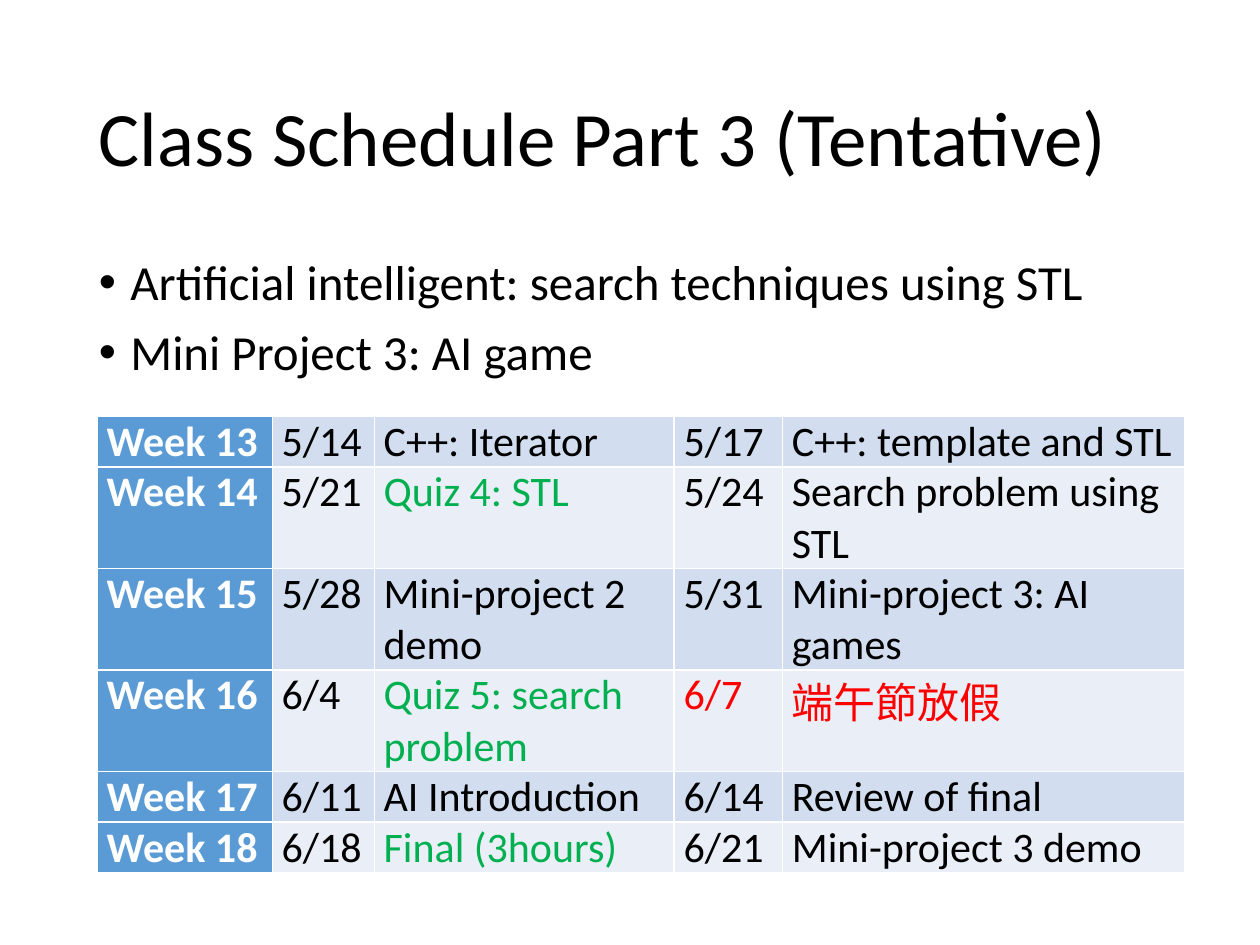
from dataclasses import dataclass

import pptx
import pptx.dml.color
import pptx.enum.text
import pptx.oxml
import pptx.oxml.ns
import pptx.util
from pptx.util import Pt


def rgb(code):
    return pptx.dml.color.RGBColor.from_string(code)


@dataclass(frozen=True)
class Theme:
    font: str = "Calibri"
    title_size: float = 44
    body_size: float = 28
    table_size: float = 24
    text: str = "000000"
    white: str = "FFFFFF"
    week_fill: str = "5B9BD5"
    band_fills: tuple = ("D2DEEF", "EAEFF7")
    exam: str = "00B050"
    holiday: str = "FF0000"


THEME = Theme()

TITLE = "Class Schedule Part 3 (Tentative)"
TOPICS = [
    "Artificial intelligent: search techniques using STL",
    "Mini Project 3: AI game",
]
SCHEDULE = [
    ("Week 13", "5/14", "C++: Iterator", "5/17", "C++: template and STL"),
    ("Week 14", "5/21", "Quiz 4: STL", "5/24", "Search problem using STL"),
    ("Week 15", "5/28", "Mini-project 2 demo", "5/31", "Mini-project 3: AI games"),
    ("Week 16", "6/4", "Quiz 5: search problem", "6/7", "端午節放假"),
    ("Week 17", "6/11", "AI Introduction", "6/14", "Review of final"),
    ("Week 18", "6/18", "Final (3hours)", "6/21", "Mini-project 3 demo"),
]
EXAMS = {"Quiz 4: STL", "Quiz 5: search problem", "Final (3hours)"}
HOLIDAYS = {"6/7", "端午節放假"}
COLUMN_WIDTHS = (100.1, 58.3, 171.4, 61.9, 229.7)
LINE_HEIGHT = 29
ROW_LINES = (1, 2, 2, 2, 1, 1)


def style_text(para, size, color, bold=False):
    for span in para.runs:
        span.font.name = THEME.font
        span.font.size = Pt(size)
        span.font.bold = bold
        span.font.color.rgb = rgb(color)


def add_text_frame(slide, box):
    frame = slide.shapes.add_textbox(*(Pt(length) for length in box)).text_frame
    frame.word_wrap = True
    return frame


def add_title(slide, box):
    frame = add_text_frame(slide, box)
    frame.vertical_anchor = pptx.enum.text.MSO_ANCHOR.MIDDLE
    frame.text = TITLE
    para = frame.paragraphs[0]
    para.line_spacing = 0.9
    style_text(para, THEME.title_size, THEME.text)


def add_bullet(para, indent):
    """Give a paragraph a round bullet with a hanging indent in points."""
    properties = para._p.get_or_add_pPr()
    properties.set("marL", str(Pt(indent)))
    properties.set("indent", str(-Pt(indent)))
    namespace = pptx.oxml.ns.nsdecls("a")
    for tag in ('buFont typeface="Arial"', 'buChar char="•"'):
        properties.append(pptx.oxml.parse_xml(f"<a:{tag.replace(' ', f' {namespace} ', 1)}/>"))


def add_topics(slide, box):
    frame = add_text_frame(slide, box)
    frame.text = "\n".join(TOPICS)
    for para in frame.paragraphs:
        para.line_spacing = 0.9
        para.space_before = Pt(10)
        add_bullet(para, 18)
        style_text(para, THEME.body_size, THEME.text)


def add_cell_borders(cell, color, width):
    properties = cell._tc.get_or_add_tcPr()
    for side in "LRTB":
        properties.append(pptx.oxml.parse_xml(
            f'<a:ln{side} {pptx.oxml.ns.nsdecls("a")} w="{Pt(width)}"><a:solidFill>'
            f'<a:srgbClr val="{color}"/></a:solidFill></a:ln{side}>'))


def entry_color(entry):
    if entry in EXAMS:
        return THEME.exam
    return THEME.holiday if entry in HOLIDAYS else THEME.text


def fill_cell(cell, entry, fill, color, bold):
    cell.margin_left = cell.margin_right = Pt(5.4)
    cell.margin_top = cell.margin_bottom = 0
    add_cell_borders(cell, THEME.white, 1)
    cell.fill.solid()
    cell.fill.fore_color.rgb = rgb(fill)
    cell.text = entry
    style_text(cell.text_frame.paragraphs[0], THEME.table_size, color, bold)


def add_schedule(slide, left, top):
    width, height = sum(COLUMN_WIDTHS), sum(ROW_LINES) * LINE_HEIGHT
    table = slide.shapes.add_table(
        len(SCHEDULE), len(COLUMN_WIDTHS), Pt(left), Pt(top), Pt(width), Pt(height)).table
    table.first_row = False
    table.first_col = True
    for column, column_width in zip(table.columns, COLUMN_WIDTHS):
        column.width = Pt(column_width)
    for index, (week, *entries) in enumerate(SCHEDULE):
        table.rows[index].height = Pt(ROW_LINES[index] * LINE_HEIGHT)
        fill_cell(table.cell(index, 0), week, THEME.week_fill, THEME.white, True)
        band = THEME.band_fills[index % 2]
        for position, entry in enumerate(entries, 1):
            fill_cell(table.cell(index, position), entry, band, entry_color(entry), False)


def main():
    deck = pptx.Presentation()
    deck.slide_width, deck.slide_height = Pt(720), Pt(540)
    slide = deck.slides.add_slide(deck.slide_layouts[6])
    add_title(slide, (49.5, 28.75, 621, 104.4))
    add_topics(slide, (49.5, 143.75, 621, 342.6))
    add_schedule(slide, 55.5, 237.8)
    deck.save("out.pptx")


if __name__ == "__main__":
    main()
